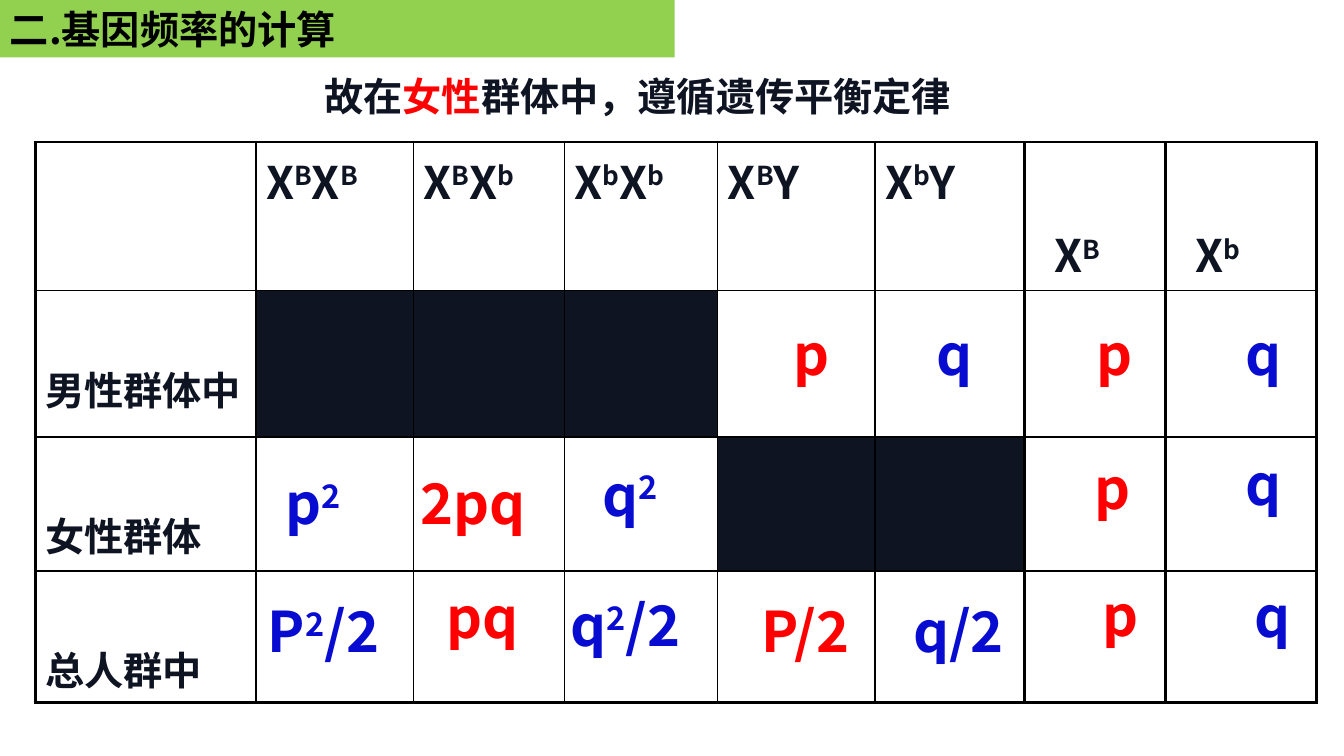
"""Build a slide on allele frequencies of an X-linked gene."""
from lxml import etree
from pptx import Presentation
from pptx.dml.color import RGBColor
from pptx.enum.shapes import MSO_SHAPE
from pptx.enum.text import MSO_ANCHOR, PP_ALIGN
from pptx.oxml.ns import qn
from pptx.util import Inches, Pt

RECTANGLE = MSO_SHAPE.RECTANGLE
MIDDLE = MSO_ANCHOR.MIDDLE
LEFT = PP_ALIGN.LEFT

BLACK = RGBColor(0x00, 0x00, 0x00)
INK = RGBColor(0x0F, 0x14, 0x23)
RED = RGBColor(0xFF, 0x00, 0x00)
BLUE = RGBColor(0x08, 0x0C, 0xD0)
GREEN = RGBColor(0x92, 0xD0, 0x50)

FONT = "Noto Sans CJK SC"
COLUMN_WIDTHS = (2.19, 1.56, 1.5, 1.52, 1.56, 1.48, 1.4, 1.5)
ROW_HEIGHTS = (1.47, 1.45, 1.33, 1.3)
GENOTYPES = ("X^BX^B", "X^BX^b", "X^bX^b", "X^BY", "X^bY")
ALLELES = ("X^B", "X^b")
GROUPS = ("男性群体中", "女性群体", "总人群中")
BLOCKED_CELLS = ((1, 1), (1, 2), (1, 3), (2, 4), (2, 5))
FIRST_THICK_COLUMN = 5
FREQUENCIES = (
    ("p", RED, 7.77, 3.12, 0.87),
    ("q", BLUE, 9.19, 3.12, 1.17),
    ("p", RED, 10.78, 3.12, 0.87),
    ("q", BLUE, 12.26, 3.12, 1.17),
    ("p^2", BLUE, 2.73, 4.6, 1.25),
    ("2pq", RED, 4.07, 4.6, 1.46),
    ("q^2", BLUE, 5.88, 4.52, 1),
    ("p", RED, 10.76, 4.45, 0.87),
    ("q", BLUE, 12.26, 4.41, 1.17),
    ("P^2/2", BLUE, 2.56, 5.87, 1.44),
    ("pq", RED, 4.33, 5.73, 1),
    ("q^2/2", BLUE, 5.56, 5.81, 1.51),
    ("P/2", RED, 7.45, 5.87, 1.32),
    ("q/2", BLUE, 8.96, 5.87, 1.25),
    ("p", RED, 10.84, 5.71, 0.87),
    ("q", BLUE, 12.34, 5.72, 1.17),
)


def add_span(para, text, size, color, raised=False):
    """Add one bold run, raised as a superscript if asked."""
    span = para.add_run()
    span.text = text
    span.font.size = Pt(size)
    span.font.bold = True
    span.font.color.rgb = color
    span.font.name = FONT
    properties = span.font._element
    etree.SubElement(properties, qn("a:ea"), typeface=FONT)
    if raised:
        properties.set("baseline", "30000")


def add_formula(para, formula, size, color):
    """Add a formula in which ^ raises the one character after it."""
    base, *pieces = formula.split("^")
    add_span(para, base, size, color)
    for piece in pieces:
        add_span(para, piece[0], size, color, raised=True)
        if piece[1:]:
            add_span(para, piece[1:], size, color)


def add_text_box(page, left, top, width, height, wrap=True):
    """Add a vertically centred text box and return its paragraph."""
    box = page.shapes.add_textbox(Inches(left), Inches(top), Inches(width), Inches(height))
    frame = box.text_frame
    frame.word_wrap = wrap
    frame.vertical_anchor = MIDDLE
    return frame.paragraphs[0]


def add_heading(page):
    """Add the green heading bar."""
    bar = page.shapes.add_shape(RECTANGLE, 0, 0, Inches(6.69), Inches(0.57))
    bar.shadow.inherit = False
    bar.fill.solid()
    bar.fill.fore_color.rgb = GREEN
    bar.line.fill.background()
    bar.text_frame.vertical_anchor = MIDDLE
    para = bar.text_frame.paragraphs[0]
    para.alignment = LEFT
    add_span(para, "二.基因频率的计算", 28, BLACK)


def add_statement(page):
    """Add the sentence above the table."""
    para = add_text_box(page, 3.12, 0.67, 6.42, 0.57, wrap=False)
    for text, color in (("故在", INK), ("女性", RED), ("群体中，遵循遗传平衡定律", INK)):
        add_span(para, text, 28, color)


def set_borders(cell, row, column):
    """Draw thick outer borders and thick rules beside the allele columns."""
    thick = {
        "L": column == 0,
        "R": column >= FIRST_THICK_COLUMN,
        "T": row == 0,
        "B": row == len(ROW_HEIGHTS) - 1,
    }
    properties = cell._tc.get_or_add_tcPr()
    for side, is_thick in thick.items():
        width = Pt(2.25 if is_thick else 1)
        line = etree.SubElement(properties, qn(f"a:ln{side}"), w=str(width))
        fill = etree.SubElement(line, qn("a:solidFill"))
        etree.SubElement(fill, qn("a:srgbClr"), val=str(BLACK))


def fill_cell(cell, formula, size, top=0.05, left=0.1):
    """Write a label into a cell with its own top and left margins."""
    cell.margin_top = Inches(top)
    cell.margin_left = Inches(left)
    add_formula(cell.text_frame.paragraphs[0], formula, size, INK)


def add_frequency_table(page):
    """Add the grid of groups against genotypes and alleles."""
    table = page.shapes.add_table(
        len(ROW_HEIGHTS), len(COLUMN_WIDTHS), Inches(0.35), Inches(1.41),
        Inches(sum(COLUMN_WIDTHS)), Inches(sum(ROW_HEIGHTS))).table
    table.first_row = False
    table.horz_banding = False
    for column, width in zip(table.columns, COLUMN_WIDTHS):
        column.width = Inches(width)
    for row, height in enumerate(ROW_HEIGHTS):
        table.rows[row].height = Inches(height)
        for column in range(len(COLUMN_WIDTHS)):
            cell = table.cell(row, column)
            set_borders(cell, row, column)
            if (row, column) in BLOCKED_CELLS:
                cell.fill.solid()
                cell.fill.fore_color.rgb = INK
            else:
                cell.fill.background()
    for column, genotype in enumerate(GENOTYPES, 1):
        fill_cell(table.cell(0, column), genotype, 32)
    for column, allele in enumerate(ALLELES, 1 + len(GENOTYPES)):
        fill_cell(table.cell(0, column), allele, 32, top=0.78, left=0.3)
    for row, group in enumerate(GROUPS, 1):
        fill_cell(table.cell(row, 0), group, 28, top=0.69)


def main():
    """Build and save the deck."""
    deck = Presentation()
    deck.slide_width = Inches(13.33)
    deck.slide_height = Inches(7.5)
    page = deck.slides.add_slide(deck.slide_layouts[6])
    add_frequency_table(page)
    for formula, color, left, top, width in FREQUENCIES:
        add_formula(add_text_box(page, left, top, width, 0.77), formula, 40, color)
    add_statement(page)
    add_heading(page)
    deck.save("out.pptx")


if __name__ == "__main__":
    main()
